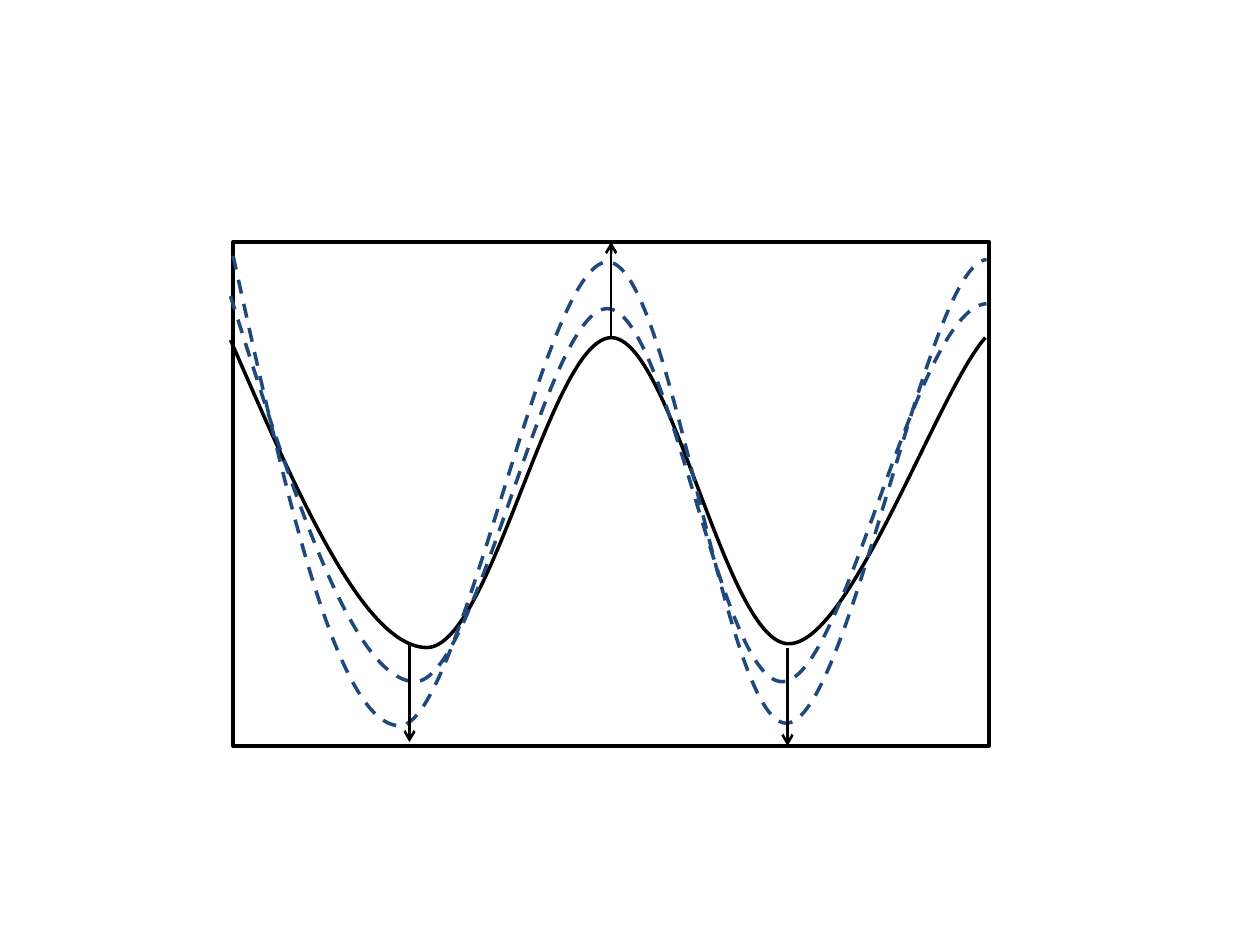
from lxml import etree
from pptx import Presentation, util as u
from pptx.dml.color import RGBColor
from pptx.enum import dml, shapes
from pptx.oxml.ns import qn

INK = {"black": "000000", "blue": "1F497D", "white": "FFFFFF"}


def pen(line, tone, width):
    line.color.rgb = RGBColor.from_string(INK[tone])
    line.width = u.Pt(width)


deck = Presentation()
deck.slide_width, deck.slide_height = u.Inches(10), u.Inches(7.5)
slide = deck.slides.add_slide(deck.slide_layouts[6])

# Frame
frame = slide.shapes.add_shape(
    shapes.MSO_SHAPE.FLOWCHART_PROCESS,
    u.Inches(1.85), u.Inches(1.92), u.Inches(6), u.Inches(4))
frame.shadow.inherit = False
frame.fill.solid()
frame.fill.fore_color.rgb = RGBColor.from_string(INK["white"])
pen(frame.line, "black", 2)

# Waves: a start point, then two handles and an end point for each bend
waves = [
    ("black", False, [
        (1.83, 2.7), (2.36, 3.92), (2.89, 5.14), (3.39, 5.14),
        (3.9, 5.13), (4.37, 2.69), (4.85, 2.68),
        (5.33, 2.68), (5.76, 5.11), (6.26, 5.11),
        (6.75, 5.11), (7.44, 3.11), (7.82, 2.68)]),
    ("blue", True, [
        (1.83, 2.35), (2.31, 3.87), (2.79, 5.39), (3.29, 5.41),
        (3.79, 5.43), (4.33, 2.45), (4.82, 2.45),
        (5.31, 2.45), (5.71, 5.42), (6.21, 5.41),
        (6.71, 5.4), (7.26, 2.45), (7.83, 2.41)]),
    ("blue", True, [
        (1.85, 2.03), (2.26, 3.89), (2.67, 5.75), (3.17, 5.76),
        (3.66, 5.77), (4.31, 2.08), (4.82, 2.08),
        (5.33, 2.07), (5.74, 5.74), (6.24, 5.74),
        (6.74, 5.74), (7.35, 2.1), (7.83, 2.06)]),
]
for tone, dashed, spots in waves:
    spots = [(u.Inches(x), u.Inches(y)) for x, y in spots]
    build = slide.shapes.build_freeform(*spots[0])
    build.add_line_segments(spots[1:], close=False)
    wave = build.convert_to_shape()
    wave.shadow.inherit = False
    wave.fill.background()
    pen(wave.line, tone, 2)
    if dashed:
        wave.line.dash_style = dml.MSO_LINE.DASH
    # Turn every three straight steps into one cubic bend
    steps = wave._element.xpath(".//a:lnTo")
    for i in range(0, len(steps), 3):
        bend = etree.Element(qn("a:cubicBezTo"))
        steps[i].addprevious(bend)
        for step in steps[i:i + 3]:
            bend.append(step[0])
            step.getparent().remove(step)

# Arrows from the solid wave towards the frame
for x, top, end in [(4.85, 2.68, 1.92), (6.25, 5.14, 5.92), (3.25, 5.11, 5.89)]:
    arrow = slide.shapes.add_connector(
        shapes.MSO_CONNECTOR.STRAIGHT,
        u.Inches(x), u.Inches(top), u.Inches(x), u.Inches(end))
    pen(arrow.line, "black", 1.5)
    etree.SubElement(arrow.line._get_or_add_ln(), qn("a:tailEnd"), type="arrow")
    etree.SubElement(arrow._element.spPr, qn("a:effectLst"))
    if end < top:
        arrow.end_connect(frame, 0)

deck.save("out.pptx")
